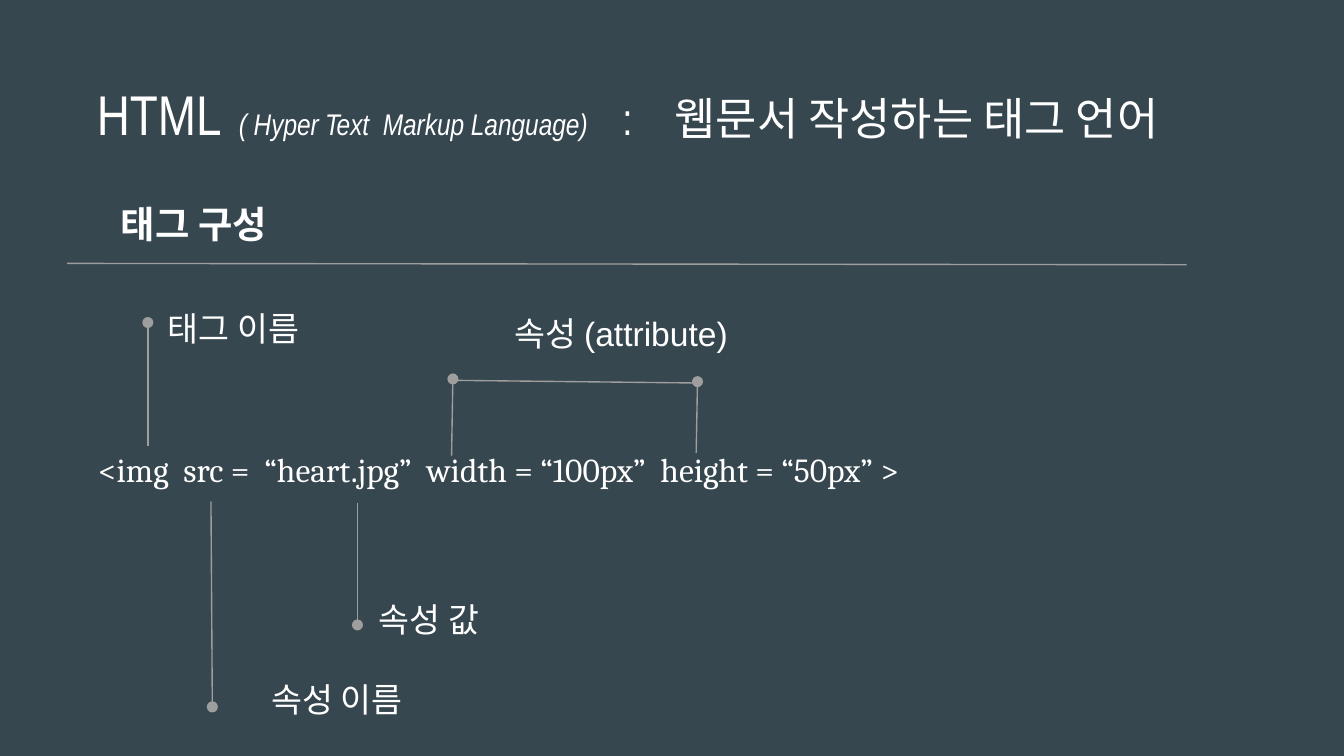
from pptx import Presentation
from pptx import util as u
from pptx.dml.color import RGBColor
from pptx.enum import shapes, text
from pptx.oxml.ns import qn
from lxml import etree

WHITE, GREY, SLATE = "FFFFFF", "9E9E9E", "37474F"
NARROW = "Arial Narrow"


def color(code):
    return RGBColor.from_string(code)


def frame(shape, box, inset=0.1, anchor=text.MSO_ANCHOR.TOP):
    """Place a text shape and return its first paragraph."""
    shape.left, shape.top, shape.width, shape.height = map(u.Inches, box)
    tf = shape.text_frame
    tf.word_wrap = True
    tf.auto_size = text.MSO_AUTO_SIZE.NONE
    tf.vertical_anchor = anchor
    tf.margin_left = u.Inches(inset)
    tf.margin_right = tf.margin_top = tf.margin_bottom = u.Inches(0.1)
    para = tf.paragraphs[0]
    para.alignment = text.PP_ALIGN.LEFT
    return para


def add_run(para, words, size, face=NARROW, bold=False, italic=False):
    run = para.add_run()
    run.text = words
    font = run.font
    font.size, font.name = u.Pt(size), face
    font.bold, font.italic = bold, italic
    font.color.rgb = color(WHITE)


def add_tabs(para, stops):
    tabs = etree.SubElement(para._p.get_or_add_pPr(), qn("a:tabLst"))
    for stop in stops:
        etree.SubElement(tabs, qn("a:tab"), pos=str(u.Inches(stop)), algn="l")


def add_title(slide):
    para = frame(slide.shapes.title, (0.34, 0.49, 9.32, 0.63), 0.38)
    para.space_after = u.Pt(4)
    add_tabs(para, (3.91, 4.3))
    add_run(para, "HTML ", 30)
    add_run(para, " ", 14)
    add_run(para, "( Hyper Text  Markup Language)", 16, italic=True)
    add_run(para, "\t:\t웹문서 작성하는 태그 언어", 24)


def add_label(slide, words, box, size=18, face=NARROW, inset=0.1,
              anchor=text.MSO_ANCHOR.TOP, bold=False):
    shape = slide.shapes.add_textbox(0, 0, 0, 0)
    add_run(frame(shape, box, inset, anchor), words, size, face, bold)


def add_line(slide, start, end, dot=False):
    line = slide.shapes.add_connector(
        shapes.MSO_CONNECTOR.STRAIGHT, *map(u.Inches, start + end))
    line.line.color.rgb = color(GREY)
    line.line.width = u.Pt(0.75)
    if dot:
        etree.SubElement(line.line._get_or_add_ln(), qn("a:tailEnd"),
                         type="oval")
    etree.SubElement(line._element.spPr, qn("a:effectLst"))


def main():
    prs = Presentation()
    # Widescreen, 16:9
    prs.slide_width = u.Inches(10)
    prs.slide_height = u.Inches(10) * 9 // 16
    slide = prs.slides.add_slide(prs.slide_layouts[5])
    slide.background.fill.solid()
    slide.background.fill.fore_color.rgb = color(SLATE)

    # Heading and section name
    add_title(slide)
    add_label(slide, "태그 구성", (0.73, 1.4, 3.79, 0.57), 20, "Arial",
              0.17, bold=True)
    add_line(slide, (0.5, 1.96), (8.83, 1.97))

    # Sample tag
    add_label(slide,
              "<img  src =  “heart.jpg”  width = “100px”  height = “50px” >",
              (0.55, 3.24, 9.11, 0.43), face="Cambria", inset=0.18)

    # Names of its parts
    for words, left, top, width in (("태그 이름", 1.15, 2.23, 1.29),
                                    ("속성 값", 2.72, 4.39, 1.11),
                                    ("속성 이름", 1.92, 4.99, 1.44)):
        add_label(slide, words, (left, top, width, 0.43),
                  anchor=text.MSO_ANCHOR.MIDDLE)
    add_label(slide, "속성 (attribute)", (3.67, 2.23, 1.98, 0.43),
              face="Arial", inset=0.16)

    # Pointers from the tag, each ending in a dot
    for start, end in (((1.1, 3.32), (1.1, 2.4)),
                       ((2.66, 3.74), (2.66, 4.65)),
                       ((1.57, 3.73), (1.58, 5.26)),
                       ((3.36, 3.39), (3.37, 2.82)),
                       ((5.18, 3.37), (5.19, 2.84))):
        add_line(slide, start, end, dot=True)

    # Bar joining the two attributes
    add_line(slide, (3.37, 2.83), (5.2, 2.85))

    prs.save("out.pptx")


if __name__ == "__main__":
    main()
